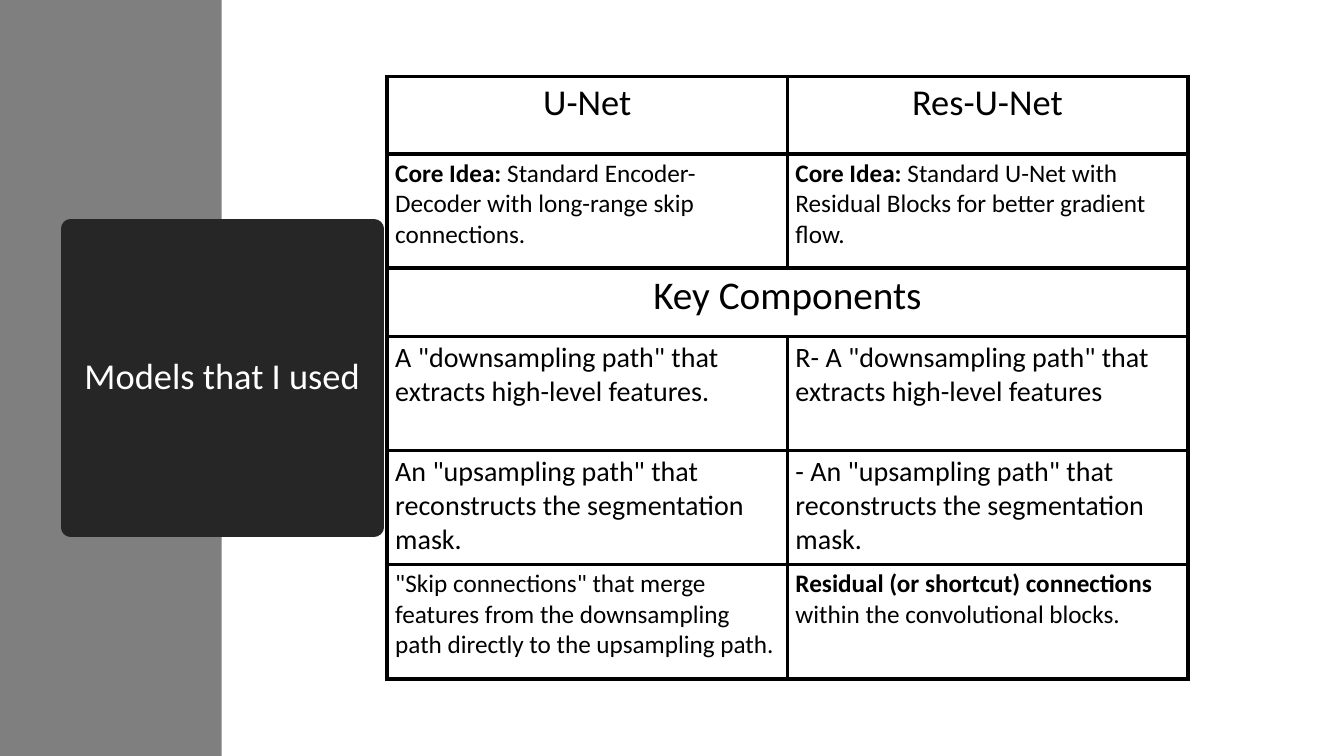
from lxml import etree
from pptx import Presentation
from pptx.dml.color import RGBColor
from pptx.enum.shapes import MSO_SHAPE
from pptx.enum.text import MSO_ANCHOR, MSO_AUTO_SIZE, PP_ALIGN
from pptx.oxml.ns import qn
from pptx.util import Inches, Pt

RECTANGLE = MSO_SHAPE.RECTANGLE
MIDDLE = MSO_ANCHOR.MIDDLE
TOP = MSO_ANCHOR.TOP
NO_AUTOFIT = MSO_AUTO_SIZE.NONE
CENTER, LEFT = PP_ALIGN.CENTER, PP_ALIGN.LEFT

FONT = "Calibri"
COLORS = {"band": "7F7F7F", "title": "262626", "light": "FFFFFF", "ink": "000000"}
BORDER_WIDTH = 3

COMPARISON = [
    (0.77, 26, CENTER, [[("U-Net", False)], [("Res-U-Net", False)]]),
    (1.13, 18, LEFT, [
        [("Core Idea:", True),
         (" Standard Encoder-Decoder with long-range skip connections.", False)],
        [("Core Idea:", True),
         (" Standard U-Net with Residual Blocks for better gradient flow.", False)],
    ]),
    (0.68, 28, CENTER, [[("Key Components", False)]]),
    (1.13, 20, LEFT, [
        [('A "downsampling path" that extracts high-level features.', False)],
        [('R- A "downsampling path" that extracts high-level features', False)],
    ]),
    (1.13, 20, LEFT, [
        [('An "upsampling path" that reconstructs the segmentation mask.', False)],
        [('- An "upsampling path" that reconstructs the segmentation mask.', False)],
    ]),
    (1.14, 18, LEFT, [
        [('"Skip connections" that merge features from the downsampling '
          'path directly to the upsampling path.', False)],
        [("Residual (or shortcut) connections", True),
         (" within the convolutional blocks.", False)],
    ]),
]


def rgb(name):
    """Return the palette colour with this name."""
    return RGBColor.from_string(COLORS[name])


def style_font(font, size, color, bold=False):
    """Apply the slide's typeface with a size, colour and weight."""
    font.name = FONT
    font.size = Pt(size)
    font.bold = bold
    font.color.rgb = rgb(color)


def add_side_band(slide, left, top, width, height):
    """Draw the grey band behind the title."""
    band = slide.shapes.add_shape(
        RECTANGLE, Inches(left), Inches(top), Inches(width), Inches(height))
    band.shadow.inherit = False
    band.fill.solid()
    band.fill.fore_color.rgb = rgb("band")
    band.line.fill.background()
    slide.shapes.title.element.addprevious(band.element)


def place_title(slide, left, top, width, height):
    """Turn the title placeholder into a dark block with a thick rounded edge."""
    title = slide.shapes.title
    title.left, title.top = Inches(left), Inches(top)
    title.width, title.height = Inches(width), Inches(height)
    title.fill.solid()
    title.fill.fore_color.rgb = rgb("title")
    title.line.color.rgb = rgb("title")
    title.line.width = Pt(13.75)
    etree.SubElement(title.element.spPr.find(qn("a:ln")), qn("a:round"))
    frame = title.text_frame
    frame.text = "Models that I used"
    frame.word_wrap = True
    frame.auto_size = NO_AUTOFIT
    frame.vertical_anchor = MIDDLE
    heading = frame.paragraphs[0]
    heading.alignment = CENTER
    heading.line_spacing = 0.9
    style_font(heading.runs[0].font, 26, "light")


def style_cell(cell):
    """Clear a cell's fill, set its margins and draw its four borders."""
    cell.fill.background()
    cell.vertical_anchor = TOP
    cell.margin_left = cell.margin_right = Inches(0.08)
    cell.margin_top = cell.margin_bottom = Inches(0.04)
    properties = cell.fill._xPr
    for index, side in enumerate(("a:lnL", "a:lnR", "a:lnT", "a:lnB")):
        border = etree.Element(qn(side), w=str(Pt(BORDER_WIDTH)))
        fill = etree.SubElement(border, qn("a:solidFill"))
        etree.SubElement(fill, qn("a:srgbClr"), val=COLORS["ink"])
        properties.insert(index, border)


def write_cell(cell, parts, size, alignment):
    """Fill a cell with text parts, each regular or bold."""
    paragraph = cell.text_frame.paragraphs[0]
    paragraph.alignment = alignment
    for text, bold in parts:
        run = paragraph.add_run()
        run.text = text
        style_font(run.font, size, "ink", bold)


def add_comparison(slide, left, top, width, height):
    """Build the two-column comparison of the models."""
    table = slide.shapes.add_table(
        len(COMPARISON), 2, Inches(left), Inches(top),
        Inches(width), Inches(height)).table
    table.first_row = False
    table.horz_banding = False
    for column in table.columns:
        column.width = Inches(width / 2)
    for index, (row_height, size, alignment, entries) in enumerate(COMPARISON):
        row = table.rows[index]
        row.height = Inches(row_height)
        for cell in row.cells:
            style_cell(cell)
        if len(entries) == 1:
            table.cell(index, 0).merge(table.cell(index, 1))
        for cell, parts in zip(row.cells, entries):
            write_cell(cell, parts, size, alignment)


def main():
    """Create the slide and save it."""
    deck = Presentation()
    deck.slide_width, deck.slide_height = Inches(13.33), Inches(7.5)
    slide = deck.slides.add_slide(deck.slide_layouts[5])
    add_side_band(slide, 0, 0, 2.2, 7.5)
    place_title(slide, 0.7, 2.27, 3.01, 2.96)
    add_comparison(slide, 3.84, 0.76, 7.94, 5.98)
    deck.save("out.pptx")


if __name__ == "__main__":
    main()
